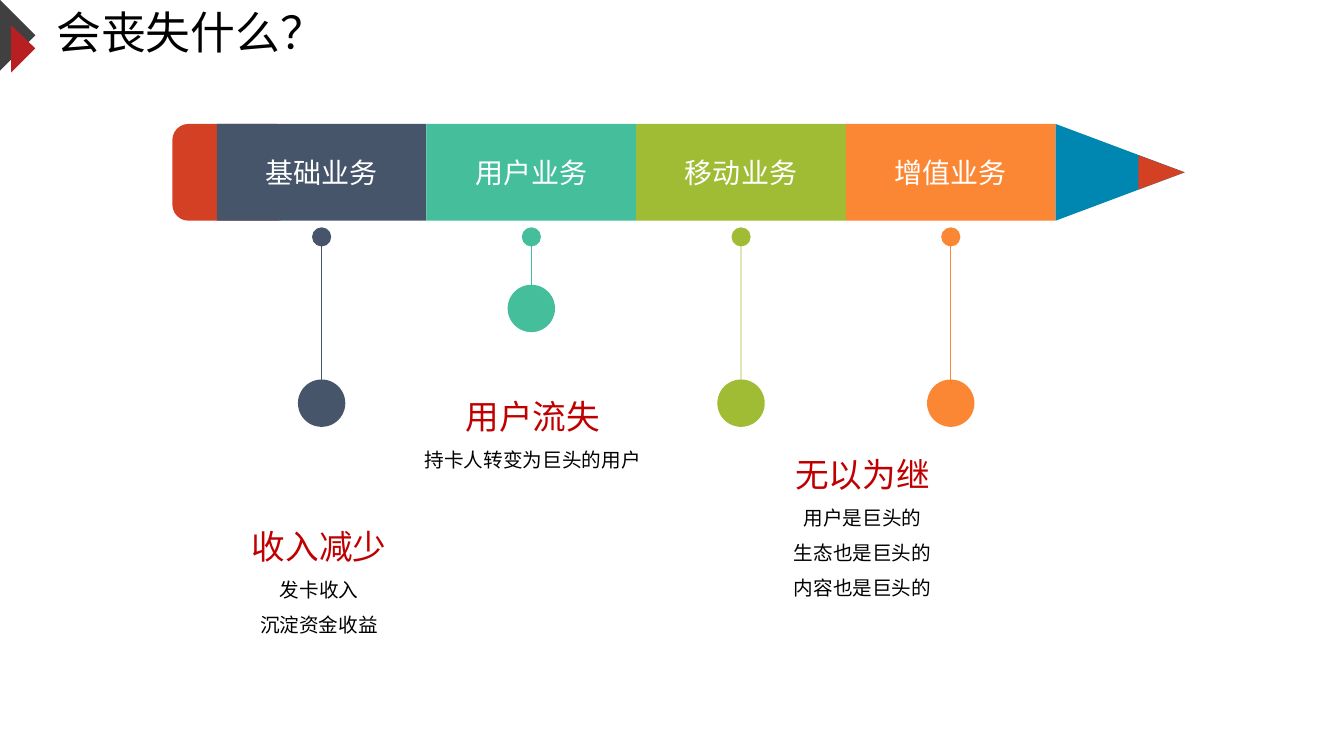
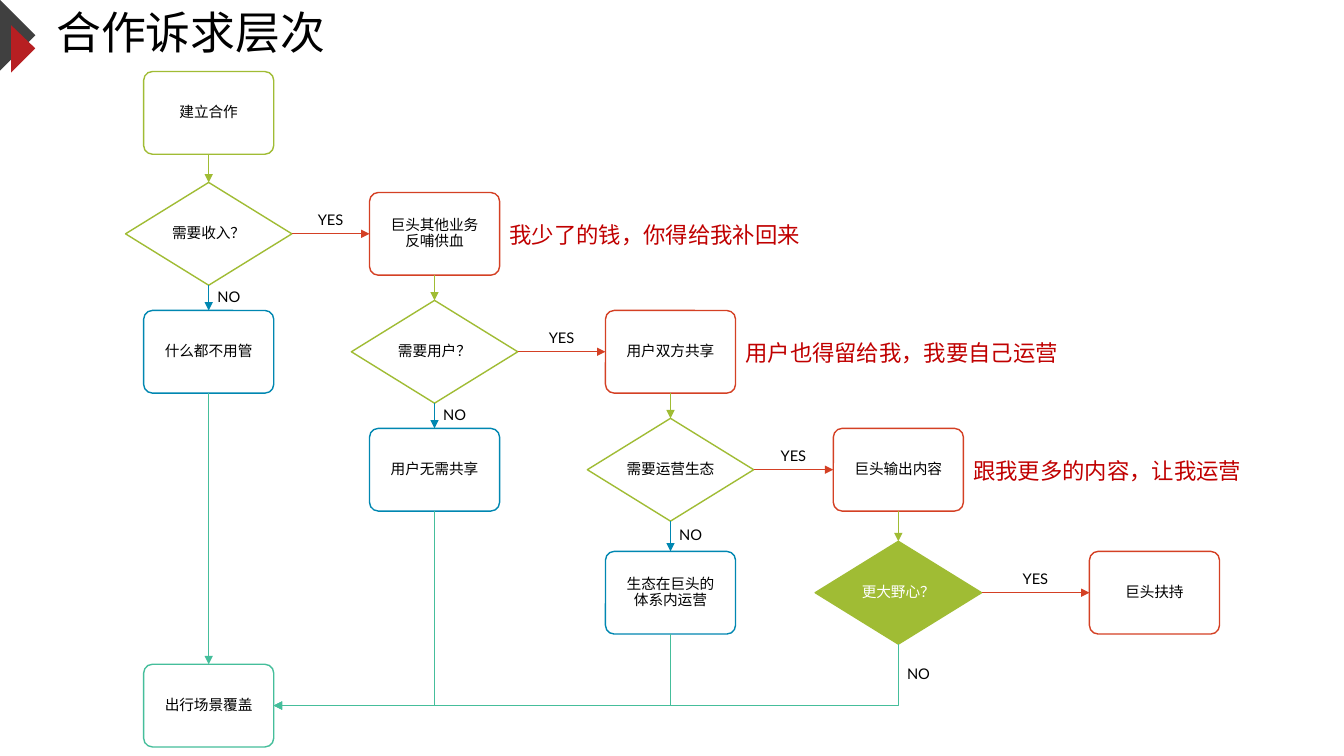
from dataclasses import dataclass
from lxml.etree import SubElement
from pptx import Presentation
from pptx.dml.color import RGBColor
from pptx.enum.shapes import MSO_CONNECTOR as Route, MSO_SHAPE as Preset
from pptx.enum.text import MSO_ANCHOR as Anchor, PP_ALIGN as Align
from pptx.oxml.ns import qn
from pptx.util import Inches, Pt


@dataclass(frozen=True)
class Theme:
    black: str = "000000"
    white: str = "FFFFFF"
    charcoal: str = "404040"
    crimson: str = "B71F22"
    red: str = "D44024"
    slate: str = "46556A"
    teal: str = "45BE9B"
    green: str = "A0BC34"
    orange: str = "FB8734"
    blue: str = "0087B1"
    accent: str = "C00000"
    cjk: str = "Noto Sans CJK SC"
    latin: str = "Lato"
    title: float = 32
    heading: float = 24
    segment: float = 20
    remark: float = 16
    detail: float = 14
    node: float = 10.5


theme = Theme()


def draw(page, kind, center_x, center_y, width, height, fill=None, line=None):
    shape = page.shapes.add_shape(kind, Inches(center_x - width / 2), Inches(center_y - height / 2),
                                  Inches(width), Inches(height))
    shape.shadow.inherit = False
    if fill:
        shape.fill.solid()
        shape.fill.fore_color.rgb = RGBColor.from_string(fill)
    else:
        shape.fill.background()
    if line:
        shape.line.color.rgb = RGBColor.from_string(line)
        shape.line.width = Pt(1)
    else:
        shape.line.fill.background()
    return shape


def write(shape, entries, font=theme.cjk, align=Align.CENTER, spacing=1.0, wrap=True, side=0.1):
    frame = shape.text_frame
    frame.word_wrap = wrap
    frame.vertical_anchor = Anchor.MIDDLE
    frame.margin_left = frame.margin_right = Inches(side)
    frame.margin_top = frame.margin_bottom = Inches(0.04)
    for index, (text, size, color) in enumerate(entries):
        para = frame.add_paragraph() if index else frame.paragraphs[0]
        para.text = text
        para.alignment = align
        para.line_spacing = spacing
        para.font.size = Pt(size)
        para.font.name = font
        para.font.color.rgb = RGBColor.from_string(color)
        SubElement(para._p.pPr.defRPr, qn("a:ea"), typeface=theme.cjk)


deck = Presentation()
deck.slide_width, deck.slide_height = Inches(13.33), Inches(7.5)

corner_marks = [
    (theme.charcoal, [(0, 0), (0.35, 0.35), (0, 0.7)]),
    (theme.crimson, [(0.11, 0.25), (0.35, 0.48), (0.11, 0.72)]),
]
for title in ("会丧失什么？", "合作诉求层次"):
    page = deck.slides.add_slide(deck.slide_layouts[6])
    for color, points in corner_marks:
        outline = [(Inches(x), Inches(y)) for x, y in points]
        builder = page.shapes.build_freeform(*outline[0])
        builder.add_line_segments(outline[1:], close=True)
        mark = builder.convert_to_shape()
        mark.shadow.inherit = False
        mark.fill.solid()
        mark.fill.fore_color.rgb = RGBColor.from_string(color)
        mark.line.fill.background()
    title_box = page.shapes.add_textbox(Inches(0.46), Inches(0.09), Inches(9.37), Inches(0.52))
    write(title_box, [(title, theme.title, theme.black)], align=Align.LEFT, spacing=0.9)

loss_page, levels_page = deck.slides

pencil_left, pencil_middle, pencil_height = 2.15, 1.71, 0.96
segment_width, pencil_tip = 2.08, 11.75
dot_middle, dot_size, bulb_size = 2.35, 0.19, 0.47
draw(loss_page, Preset.ROUNDED_RECTANGLE, 2.31, pencil_middle, 1.2, pencil_height, theme.red)
segments = [
    ("基础业务", theme.slate, 4.0),
    ("用户业务", theme.teal, 3.06),
    ("移动业务", theme.green, 4.0),
    ("增值业务", theme.orange, 4.0),
]
for column, (label, color, bulb_middle) in enumerate(segments):
    center = pencil_left + (column + 0.5) * segment_width
    segment = draw(loss_page, Preset.RECTANGLE, center, pencil_middle, segment_width, pencil_height, color)
    write(segment, [(label, theme.segment, theme.white)])
    dot = draw(loss_page, Preset.OVAL, center, dot_middle, dot_size, dot_size, color)
    bulb = draw(loss_page, Preset.OVAL, center, bulb_middle, bulb_size, bulb_size, color)
    stem = loss_page.shapes.add_connector(Route.STRAIGHT, 0, 0, 0, 0)
    stem.begin_connect(bulb, 0)
    stem.end_connect(dot, 2)
    stem.line.color.rgb = RGBColor.from_string(color)
    stem.line.width = Pt(0.5)

for length, breadth, color in ((1.28, pencil_height, theme.blue), (0.46, 0.34, theme.red)):
    point = draw(loss_page, Preset.ISOSCELES_TRIANGLE, pencil_tip - length / 2, pencil_middle,
                 breadth, length, color)
    point.rotation = 90

losses = [
    (1.88, 4.96, 1.41, "收入减少", ["发卡收入", "沉淀资金收益"]),
    (4.0, 3.67, 1.06, "用户流失", ["持卡人转变为巨头的用户"]),
    (7.27, 4.24, 1.77, "无以为继", ["用户是巨头的", "生态也是巨头的", "内容也是巨头的"]),
]
for left, top, height, heading, details in losses:
    loss_box = loss_page.shapes.add_textbox(Inches(left), Inches(top), Inches(2.57), Inches(height))
    entries = [(heading, theme.heading, theme.accent)]
    entries += [(detail, theme.detail, theme.black) for detail in details]
    write(loss_box, entries, spacing=1.5)

columns = [2.07, 4.31, 6.65, 8.91, 11.45]
rows = [1.12, 2.32, 3.49, 4.66, 5.88, 7.0]
step_width, step_height = 1.29, 0.82
choice_width, choice_height = 1.65, 1.02

steps = [
    (0, 0, "建立合作", theme.green),
    (1, 1, "巨头其他业务反哺供血", theme.red),
    (0, 2, "什么都不用管", theme.blue),
    (2, 2, "用户双方共享", theme.red),
    (1, 3, "用户无需共享", theme.blue),
    (3, 3, "巨头输出内容", theme.red),
    (2, 4, "生态在巨头的体系内运营", theme.blue),
    (4, 4, "巨头扶持", theme.red),
    (0, 5, "出行场景覆盖", theme.teal),
]
choices = [
    (0, 1, "需要收入？", None, theme.black),
    (1, 2, "需要用户？", None, theme.black),
    (2, 3, "需要运营生态", None, theme.black),
    (3, 4, "更大野心？", theme.green, theme.white),
]
nodes = {}
for column, row, text, color in steps:
    step = draw(levels_page, Preset.ROUNDED_RECTANGLE, columns[column], rows[row],
                step_width, step_height, line=color)
    step.adjustments[0] = 0.106
    write(step, [(text, theme.node, theme.black)], theme.latin, spacing=0.9, side=0.14)
    nodes[column, row] = step
for column, row, text, fill, color in choices:
    choice = draw(levels_page, Preset.DIAMOND, columns[column], rows[row],
                  choice_width, choice_height, fill, theme.green)
    write(choice, [(text, theme.node, color)], theme.latin, spacing=0.9, wrap=False, side=0)
    nodes[column, row] = choice

finish = (0, 5)
links = [((0, 2), 2, finish, 0, theme.teal, 1)]
links += [(source, 2, finish, 3, theme.teal, 1) for source in ((1, 3), (2, 4), (3, 4))]
for column in range(4):
    row = column + 1
    links.append(((column, row - 1), 2, (column, row), 0, theme.green, 0.5))
    links.append(((column, row), 3, (column + 1, row), 1, theme.red, 0.5))
    if column < 3:
        links.append(((column, row), 2, (column, row + 1), 0, theme.blue, 0.5))

for source, source_side, target, target_side, color, weight in links:
    bent = (source_side, target_side) == (2, 3)
    link = levels_page.shapes.add_connector(Route.ELBOW if bent else Route.STRAIGHT, 0, 0, 0, 0)
    link.begin_connect(nodes[source], source_side)
    link.end_connect(nodes[target], target_side)
    link.line.color.rgb = RGBColor.from_string(color)
    link.line.width = Pt(weight)
    SubElement(link.line._get_or_add_ln(), qn("a:tailEnd"), type="triangle")
    if bent:
        across, down = link.width, link.height
        link.left += (across - down) // 2
        link.top += (down - across) // 2
        link.width, link.height = down, across
        properties = link._element.spPr
        properties.find(qn("a:prstGeom")).set("prst", "bentConnector2")
        frame = properties.find(qn("a:xfrm"))
        frame.set("rot", "5400000")
        frame.set("flipH", "0")

label_width, label_height = 0.4, 0.2
for column in range(4):
    row = column + 1
    yes_x = (columns[column] + choice_width / 2 + columns[column + 1] - step_width / 2) / 2
    no_top = rows[row] + choice_height / 2
    no_bottom = rows[row + 1] - (step_height / 2 if column < 3 else 0)
    for text, x, y in (("YES", yes_x, rows[row] - 0.13),
                       ("NO", columns[column] + 0.2, (no_top + no_bottom) / 2)):
        label = levels_page.shapes.add_textbox(Inches(x - label_width / 2), Inches(y - label_height / 2),
                                               Inches(label_width), Inches(label_height))
        write(label, [(text, theme.node, theme.black)], theme.latin, spacing=0.9, wrap=False, side=0.07)

remarks = ["我少了的钱，你得给我补回来", "用户也得留给我，我要自己运营", "跟我更多的内容，让我运营"]
for column, text in enumerate(remarks, 1):
    remark = levels_page.shapes.add_textbox(Inches(columns[column] + step_width / 2),
                                            Inches(rows[column] - 0.18), Inches(3.6), Inches(0.37))
    write(remark, [(text, theme.remark, theme.accent)], align=Align.LEFT)

for page in deck.slides:
    for connector in page.shapes._spTree.findall(qn("p:cxnSp")):
        SubElement(connector.spPr, qn("a:effectLst"))

deck.save("out.pptx")
